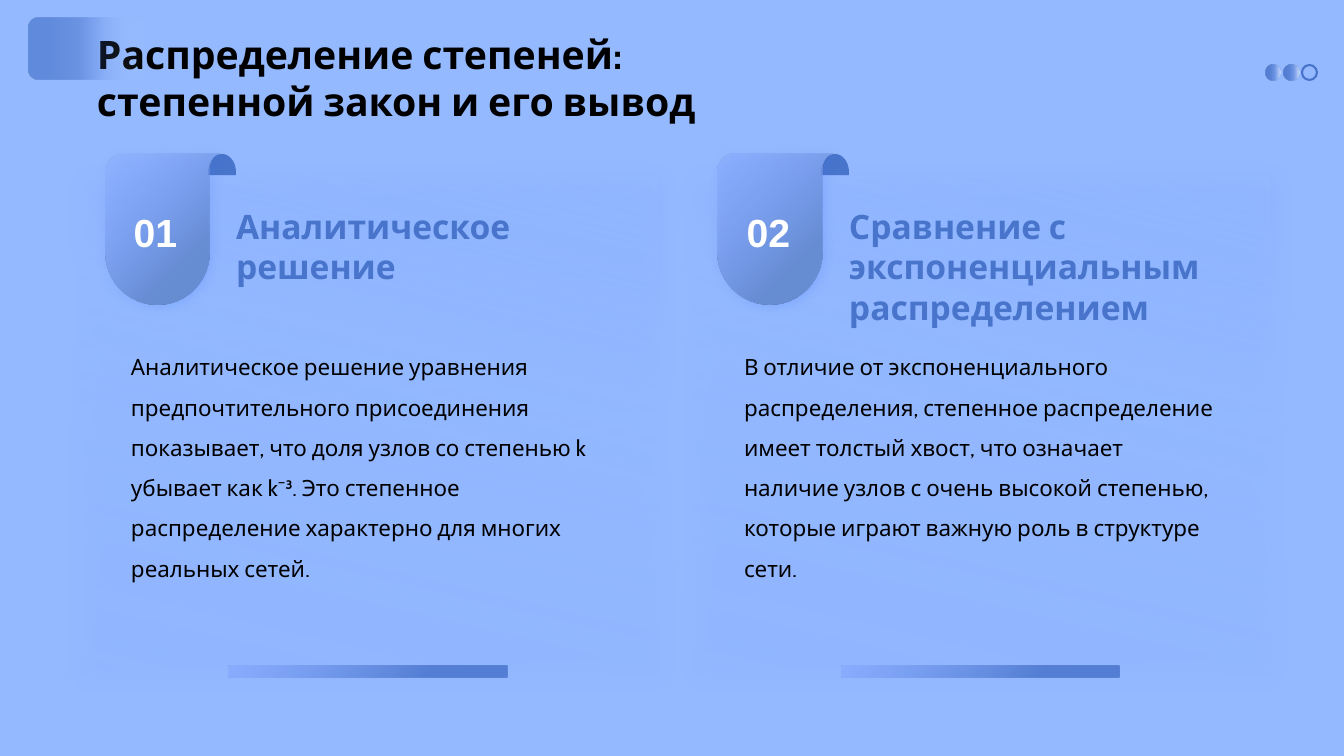
from dataclasses import dataclass
from math import cos, radians, sin

from lxml.etree import SubElement
from pptx import Presentation
from pptx.dml.color import RGBColor
from pptx.enum.shapes import MSO_SHAPE
from pptx.enum.text import MSO_ANCHOR, MSO_AUTO_SIZE, PP_ALIGN
from pptx.oxml import parse_xml
from pptx.oxml.ns import nsdecls, qn
from pptx.util import Pt

# Content
TITLE = "Распределение степеней: степенной закон и его вывод"
# number, heading, body, opacity at the start of the badge gradient
CARDS = [
    ("01", "Аналитическое решение",
     "Аналитическое решение уравнения предпочтительного присоединения показывает, "
     "что доля узлов со степенью k убывает как k⁻³. Это степенное распределение "
     "характерно для многих реальных сетей.", 18),
    ("02", "Сравнение с экспоненциальным распределением",
     "В отличие от экспоненциального распределения, степенное распределение имеет "
     "толстый хвост, что означает наличие узлов с очень высокой степенью, которые "
     "играют важную роль в структуре сети.", 40),
]


@dataclass(frozen=True)
class Theme:
    font: str = "Cabin"
    number_font: str = "Arial"
    title_size: int = 28
    heading_size: int = 24
    body_size: int = 16
    background: str = "94B9FF"
    accent: str = "4874CB"
    light: str = "87A9FF"
    badge: str = "678DD3"
    shadow: str = "376FFF"
    white: str = "FFFFFF"
    black: str = "000000"


THEME = Theme()

# Gradients: (position %, colour, opacity %)
TAB_STOPS = [(0, THEME.accent, 65), (20, THEME.accent, 65), (43, THEME.accent, 54),
             (63, THEME.accent, 17), (100, THEME.white, 0)]
DOT_STOPS = [(0, THEME.accent, 84), (20, THEME.accent, 84), (43, THEME.accent, 72),
             (63, THEME.accent, 47), (100, THEME.white, 48)]
CARD_STOPS = [(position, THEME.background, opacity) for position, opacity in
              [(0, 22), (2, 22), (36, 14), (63, 6), (98, 53), (100, 53)]]
BAR_STOPS = [(0, THEME.light, 61), (71, THEME.accent, 83), (100, THEME.accent, 83)]

# Layout in px
WIDTH, HEIGHT = 1344, 756
SCALE = 12192000 / WIDTH
COLUMN_STEP = 613
DOT_STEP = 18


def emu(*lengths):
    return [round(length * SCALE) for length in lengths]


# Formatting helpers
def color_xml(color, opacity):
    return f'<a:srgbClr val="{color}"><a:alpha val="{opacity * 1000}"/></a:srgbClr>'


def set_gradient(shape, stops, angle):
    shape.fill.background()
    stops_xml = "".join(f'<a:gs pos="{position * 1000}">{color_xml(color, opacity)}</a:gs>'
                        for position, color, opacity in stops)
    gradient = parse_xml(f'<a:gradFill {nsdecls("a")} rotWithShape="1"><a:gsLst>{stops_xml}</a:gsLst>'
                         f'<a:lin ang="{angle * 60000}" scaled="0"/></a:gradFill>')
    properties = shape._element.spPr
    properties.replace(properties.find(qn("a:noFill")), gradient)


def set_solid(shape, color, opacity=100):
    shape.fill.solid()
    shape.fill.fore_color.rgb = RGBColor.from_string(color)
    if opacity < 100:
        color_element = shape._element.spPr.find(qn("a:solidFill"))[0]
        SubElement(color_element, qn("a:alpha")).set("val", str(opacity * 1000))


def set_shadow(shape, opacity, blur, distance):
    effects = shape._element.spPr.find(qn("a:effectLst"))
    effects.append(parse_xml(
        f'<a:outerShdw {nsdecls("a")} blurRad="{Pt(blur)}" dist="{Pt(distance)}" dir="2700000" '
        f'algn="tl" rotWithShape="0">{color_xml(THEME.shadow, opacity)}</a:outerShdw>'))


def plain(shape):
    shape.shadow.inherit = False
    shape.line.fill.background()
    return shape


def add_preset(slide, kind, *box):
    return plain(slide.shapes.add_shape(kind, *emu(*box)))


def add_outline(slide, points):
    start, *rest = [emu(x, y) for x, y in points]
    builder = slide.shapes.build_freeform(*start)
    builder.add_line_segments(rest, close=True)
    return plain(builder.convert_to_shape())


def arc(center_x, center_y, radius_x, radius_y, start, end, steps=24):
    angles = [radians(start + (end - start) * step / steps) for step in range(steps + 1)]
    return [(center_x + radius_x * cos(angle), center_y + radius_y * sin(angle))
            for angle in angles]


def write(shape, text, size, color, font=THEME.font, bold=True, anchor=MSO_ANCHOR.TOP,
          align=PP_ALIGN.LEFT, margins=(0, 0, 0, 0), spacing=None):
    frame = shape.text_frame
    frame.word_wrap = True
    frame.auto_size = MSO_AUTO_SIZE.NONE
    frame.vertical_anchor = anchor
    frame.margin_left, frame.margin_top, frame.margin_right, frame.margin_bottom = emu(*margins)
    paragraph = frame.paragraphs[0]
    paragraph.text = text
    paragraph.alignment = align
    paragraph.line_spacing = spacing
    paragraph.font.name = font
    paragraph.font.size = Pt(size)
    paragraph.font.bold = bold
    paragraph.font.color.rgb = RGBColor.from_string(color)


# Slide parts
def add_header(slide):
    title = slide.shapes.title
    title.left, title.top, title.width, title.height = emu(87, 43, 747, 69)
    write(title, TITLE, THEME.title_size, THEME.black, anchor=MSO_ANCHOR.MIDDLE,
          margins=(10, 5, 10, 5))
    tab = add_preset(slide, MSO_SHAPE.ROUNDED_RECTANGLE, 29, 18, 118, 61)
    set_gradient(tab, TAB_STOPS, 0)

    for index in range(3):
        dot = add_preset(slide, MSO_SHAPE.OVAL, 1266 + index * DOT_STEP, 65, 15, 15)
        if index < 2:
            set_gradient(dot, DOT_STOPS, 0)
        else:
            dot.fill.background()
            dot.line.color.rgb = RGBColor.from_string(THEME.accent)
            dot.line.width = Pt(1.5)


def add_card(slide, left, number, heading, body, opacity):
    # Panel with its veil and bottom bar
    panel = add_preset(slide, MSO_SHAPE.RECTANGLE, left, 176, 578, 499)
    set_gradient(panel, CARD_STOPS, 283)
    set_shadow(panel, 15, 17, 4)
    veil = add_preset(slide, MSO_SHAPE.RECTANGLE, left, 175, 578, 499)
    set_solid(veil, THEME.background, 20)
    bar = add_preset(slide, MSO_SHAPE.ROUNDED_RECTANGLE, left + 150, 666, 278, 11)
    set_gradient(bar, BAR_STOPS, 45)

    # Ribbon badge with its curl
    curl = add_outline(slide, [*arc(left + 143, 172, 14, 18, 180, 360),
                               (left + 157, 175), (left + 129, 175)])
    set_solid(curl, THEME.accent)
    badge = add_outline(slide, [*arc(left + 44, 172, 18, 18, 180, 270),
                                *arc(left + 142, 172, 12, 18, 270, 180),
                                *arc(left + 78, 252, 52, 52, 0, 180)])
    set_gradient(badge, [(0, THEME.light, opacity), (71, THEME.badge, 100),
                         (100, THEME.badge, 100)], 45)
    set_shadow(badge, 20, 8, 2)
    write(badge, number, THEME.title_size, THEME.white, font=THEME.number_font,
          anchor=MSO_ANCHOR.MIDDLE, align=PP_ALIGN.CENTER, margins=(5, 10, 20, 5))

    # Heading and body
    heading_box = slide.shapes.add_textbox(*emu(left + 157, 206, 368, 99))
    write(heading_box, heading, THEME.heading_size, THEME.accent)
    body_box = slide.shapes.add_textbox(*emu(left + 52, 340, 473, 299))
    write(body_box, body, THEME.body_size, THEME.black, bold=False, spacing=1.5)


def main():
    presentation = Presentation()
    presentation.slide_width, presentation.slide_height = emu(WIDTH, HEIGHT)
    slide = presentation.slides.add_slide(presentation.slide_layouts[5])
    slide.background.fill.solid()
    slide.background.fill.fore_color.rgb = RGBColor.from_string(THEME.background)
    add_header(slide)
    for index, card in enumerate(CARDS):
        add_card(slide, 79 + index * COLUMN_STEP, *card)
    presentation.save("out.pptx")


if __name__ == "__main__":
    main()
